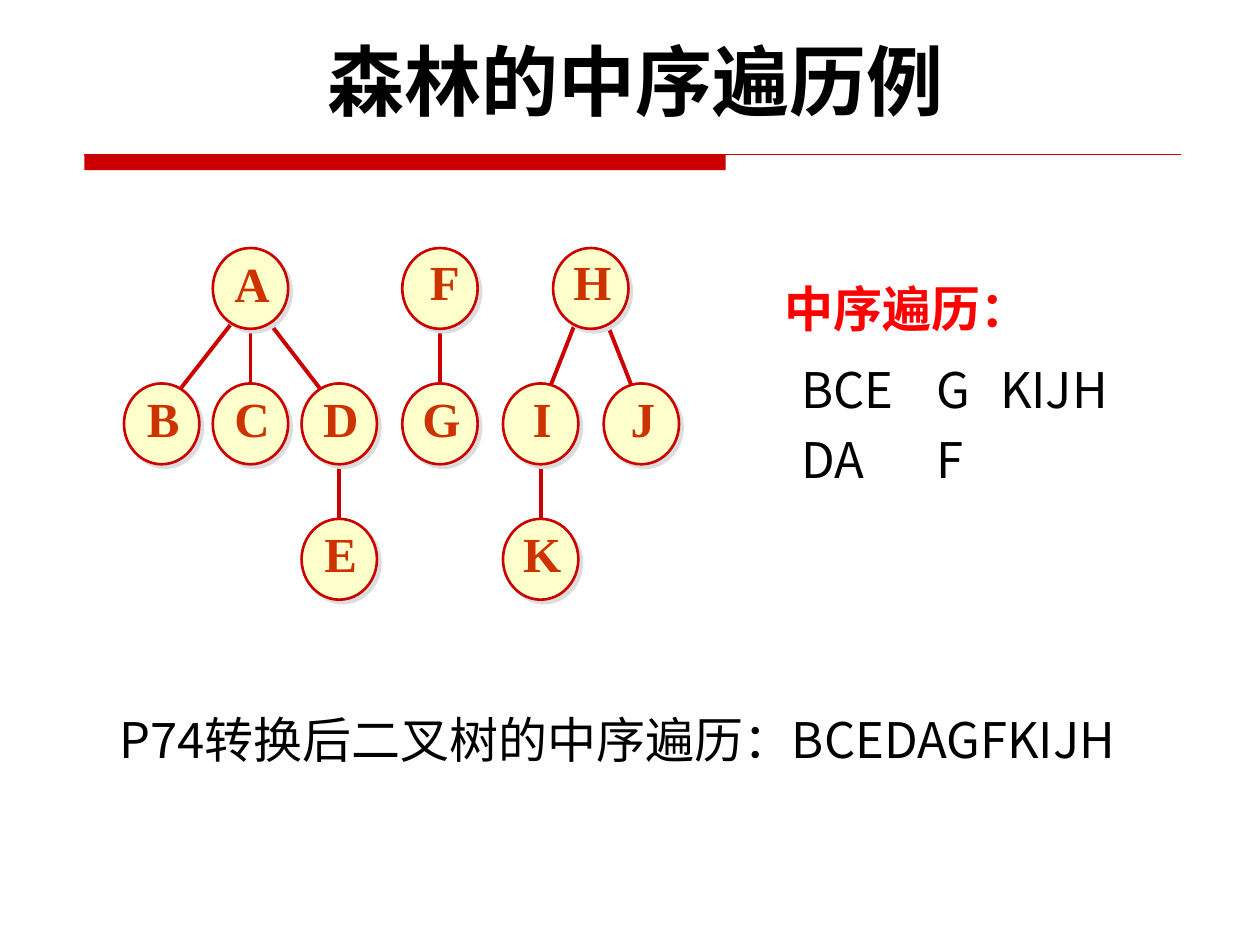
"""Build the slide on inorder traversal of a forest."""
from lxml import etree
from pptx import Presentation
from pptx.dml.color import RGBColor
from pptx.enum.shapes import MSO_CONNECTOR as CONN, MSO_SHAPE as SHAPE
from pptx.enum.text import MSO_ANCHOR as ANCHOR, MSO_AUTO_SIZE as AUTO, PP_ALIGN as ALIGN
from pptx.oxml.ns import qn
from pptx.util import Cm, Pt

BLACK = RGBColor(0x00, 0x00, 0x00)
RED = RGBColor(0xFF, 0x00, 0x00)
CRIMSON = RGBColor(0xCC, 0x00, 0x00)
RUST = RGBColor(0xCC, 0x33, 0x00)
CREAM = RGBColor(0xFF, 0xFF, 0xCC)
GREY = RGBColor(0xDD, 0xDD, 0xDD)
CJK = "Noto Sans CJK SC"
NODE_W, NODE_H = 1.52, 1.63
TOP, STEP = 5.0, 2.73


def add_text(x, y, w, h, text, size=28, font=CJK, color=BLACK, bold=False,
             align=ALIGN.LEFT, anchor=ANCHOR.TOP, spacing=None, wrap=True):
    tf = s.shapes.add_textbox(Cm(x), Cm(y), Cm(w), Cm(h)).text_frame
    tf.word_wrap = wrap
    tf.auto_size = AUTO.SHAPE_TO_FIT_TEXT
    tf.vertical_anchor = anchor
    p = tf.paragraphs[0]
    p.alignment = align
    p.line_spacing = spacing
    r = p.add_run()
    r.text = text
    r.font.size = Pt(size)
    r.font.name = font
    r.font.bold = bold
    r.font.color.rgb = color
    etree.SubElement(r.font._element, qn("a:ea")).set("typeface", CJK)


def add_line(x1, y1, x2, y2, width):
    line = s.shapes.add_connector(CONN.STRAIGHT, Cm(x1), Cm(y1), Cm(x2), Cm(y2))
    line.line.color.rgb = CRIMSON
    line.line.width = Pt(width)
    etree.SubElement(line._element.spPr, qn("a:effectLst"))


prs = Presentation()
prs.slide_width, prs.slide_height = Cm(25.4), Cm(19.05)
s = prs.slides.add_slide(prs.slide_layouts[6])

bar = s.shapes.add_shape(SHAPE.RECTANGLE, Cm(1.7), Cm(3.12), Cm(12.93), Cm(0.31))
bar.shadow.inherit = False
bar.fill.solid()
bar.fill.fore_color.rgb = CRIMSON
bar.line.fill.background()
add_line(1.7, 3.12, 23.8, 3.12, 0.75)

edges = [
    (12.17, 6.35, 12.93, 8.28), (11.66, 6.35, 10.9, 8.28),
    (5.31, 6.35, 6.58, 8.0), (4.8, 6.35, 3.51, 8.0),
    (10.9, 9.09, 10.9, 10.72), (6.84, 9.09, 6.84, 10.72),
    (8.87, 6.35, 8.87, 8.0), (5.05, 6.35, 5.05, 8.0),
]
for edge in edges:
    add_line(*edge, 2.25)

nodes = [
    ("A", 5.05, 0), ("F", 8.87, 0), ("H", 11.91, 0),
    ("B", 3.26, 1), ("C", 5.05, 1), ("D", 6.84, 1),
    ("G", 8.87, 1), ("I", 10.9, 1), ("J", 12.93, 1),
    ("E", 6.84, 2), ("K", 10.9, 2),
]
for name, x, level in nodes:
    sp = s.shapes.add_shape(SHAPE.OVAL, Cm(x - NODE_W / 2), Cm(TOP + level * STEP),
                            Cm(NODE_W), Cm(NODE_H))
    sp.fill.solid()
    sp.fill.fore_color.rgb = CREAM
    sp.line.color.rgb = CRIMSON
    sp.line.width = Pt(1.5)
    sp.shadow.inherit = False
    effects = sp._element.spPr.find(qn("a:effectLst"))
    shadow = etree.SubElement(effects, qn("a:outerShdw"), dist=str(Pt(2.8)),
                              dir="2700000", algn="ctr", rotWithShape="0")
    etree.SubElement(shadow, qn("a:srgbClr"), val=str(GREY))

nudges = {"F": (0.1, -0.07), "H": (0.03, -0.07)}
for name, x, level in nodes:
    dx, dy = nudges.get(name, (0.03, -0.03))
    add_text(x + dx - 0.65, TOP + level * STEP + dy, 1.3, 1.45, name,
             font="Times New Roman", color=RUST, bold=True,
             align=ALIGN.CENTER, anchor=ANCHOR.MIDDLE, wrap=False)

add_text(15.57, 5.26, 5.51, 1.52, "中序遍历：", color=RED, bold=True,
         spacing=1.2, wrap=False)
for x, w, text in [(15.9, 3.0, "BCEDA"), (18.62, 1.52, "GF"), (19.91, 3.0, "KIJH")]:
    add_text(x, 6.88, w, 1.52, text, spacing=1.2)

add_text(1.07, 0.56, 23.5, 2.13, "森林的中序遍历例", size=44, font="Cabin",
         bold=True, align=ALIGN.CENTER)
add_text(2.16, 14.17, 20.57, 1.45, "P74转换后二叉树的中序遍历：BCEDAGFKIJH")

prs.save("out.pptx")
